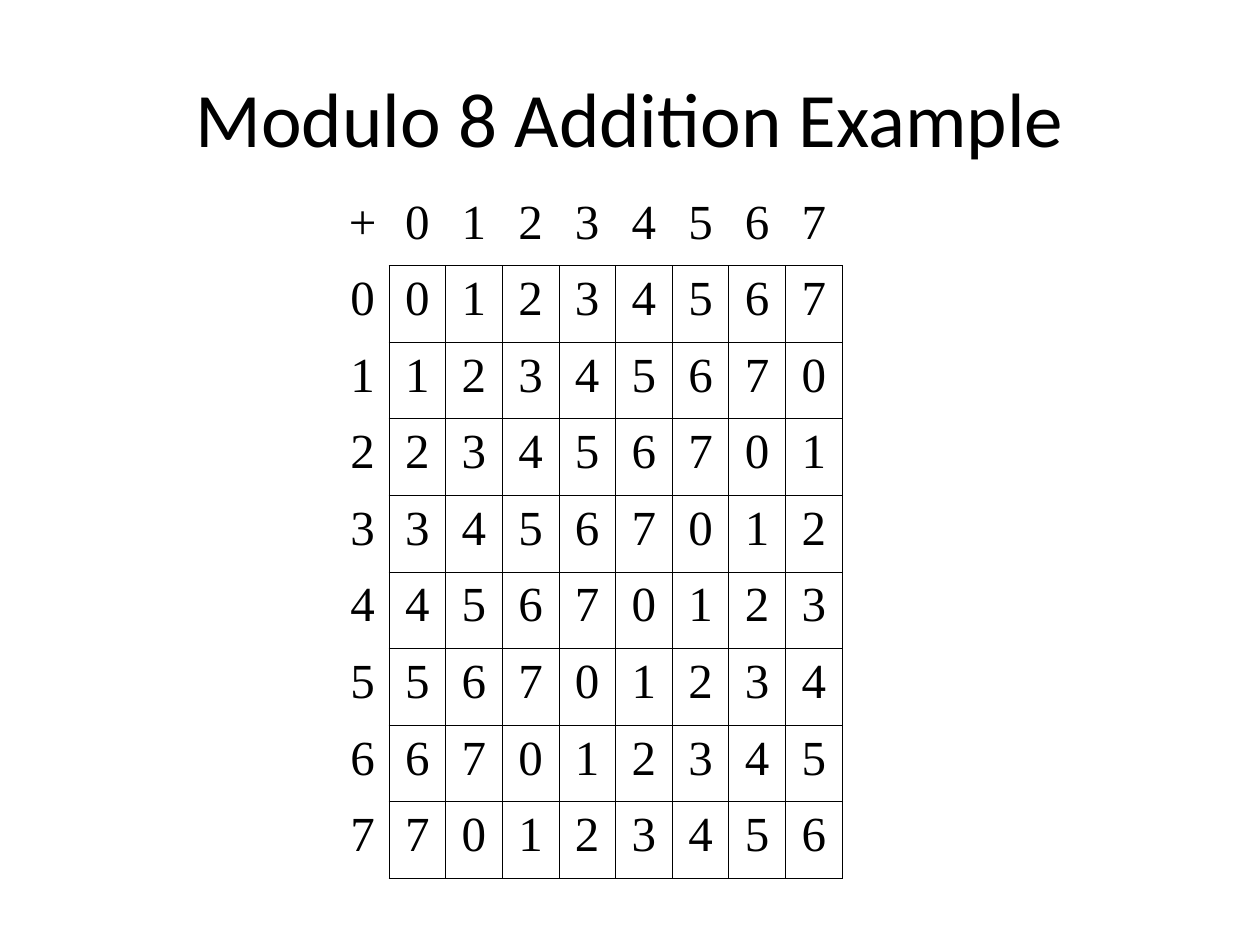
from lxml import etree
from pptx import Presentation
from pptx.dml.color import RGBColor
from pptx.enum.text import MSO_ANCHOR, PP_ALIGN
from pptx.oxml.ns import qn
from pptx.util import Cm, Pt

CENTER = PP_ALIGN.CENTER
MIDDLE = MSO_ANCHOR.MIDDLE
TOP = MSO_ANCHOR.TOP
MODULUS = 8
BLACK = "000000"
BORDER_WIDTH = Pt(0.45)


def color(hex_text):
    """Turn a hex string into a colour."""
    return RGBColor.from_string(hex_text)


def style_paragraph(para, font_name, size):
    """Centre a paragraph and set its font."""
    para.alignment = CENTER
    para.font.name = font_name
    para.font.size = Pt(size)
    para.font.color.rgb = color(BLACK)


def set_borders(cell, ruled_sides):
    """Rule the named sides of a cell and clear the others."""
    properties = cell._tc.get_or_add_tcPr()
    for side in "LRTB":
        line = etree.SubElement(properties, qn(f"a:ln{side}"), w=str(BORDER_WIDTH))
        if side in ruled_sides:
            fill = etree.SubElement(line, qn("a:solidFill"))
            etree.SubElement(fill, qn("a:srgbClr"), val=BLACK)
        else:
            etree.SubElement(line, qn("a:noFill"))


def ruled_sides_at(row, column):
    """Name the ruled sides of a cell: all in the body, shared edges in the headings."""
    if row and column:
        return "LRTB"
    if row:
        return "R"
    return "B" if column else ""


def sum_text(row, column):
    """Give the operator, an operand or the sum shown in a cell."""
    if row == column == 0:
        return "+"
    return str((max(row - 1, 0) + max(column - 1, 0)) % MODULUS)


def add_title(page, left, top, width, height):
    """Place the title in the given box."""
    title = page.shapes.title
    title.left, title.top, title.width, title.height = left, top, width, height
    frame = title.text_frame
    frame.text = "Modulo 8 Addition Example"
    frame.vertical_anchor = MIDDLE
    style_paragraph(frame.paragraphs[0], "Calibri", 44)


def add_addition_table(page, left, top, width, height):
    """Place the modular addition table in the given box."""
    count = MODULUS + 1
    table = page.shapes.add_table(count, count, left, top, width, height).table
    table.first_row = False
    table.horz_banding = False
    heading_width = Cm(1.06)
    for index, column in enumerate(table.columns):
        column.width = (width - heading_width) // MODULUS if index else heading_width
    for row in range(count):
        table.rows[row].height = height // count
        for column in range(count):
            cell = table.cell(row, column)
            cell.text = sum_text(row, column)
            cell.vertical_anchor = TOP
            para = cell.text_frame.paragraphs[0]
            para.space_before = para.space_after = Pt(3)
            style_paragraph(para, "Times New Roman", 28)
            set_borders(cell, ruled_sides_at(row, column))
            cell.fill.background()


def main():
    """Build the slide and save the deck."""
    deck = Presentation()
    deck.slide_width, deck.slide_height = Cm(25.4), Cm(19.05)
    page = deck.slides.add_slide(deck.slide_layouts[5])
    add_title(page, Cm(1.27), Cm(0.76), Cm(22.86), Cm(3.18))
    add_addition_table(page, Cm(6.78), Cm(3.81), Cm(10.2), Cm(13.9))
    deck.save("out.pptx")


if __name__ == "__main__":
    main()
